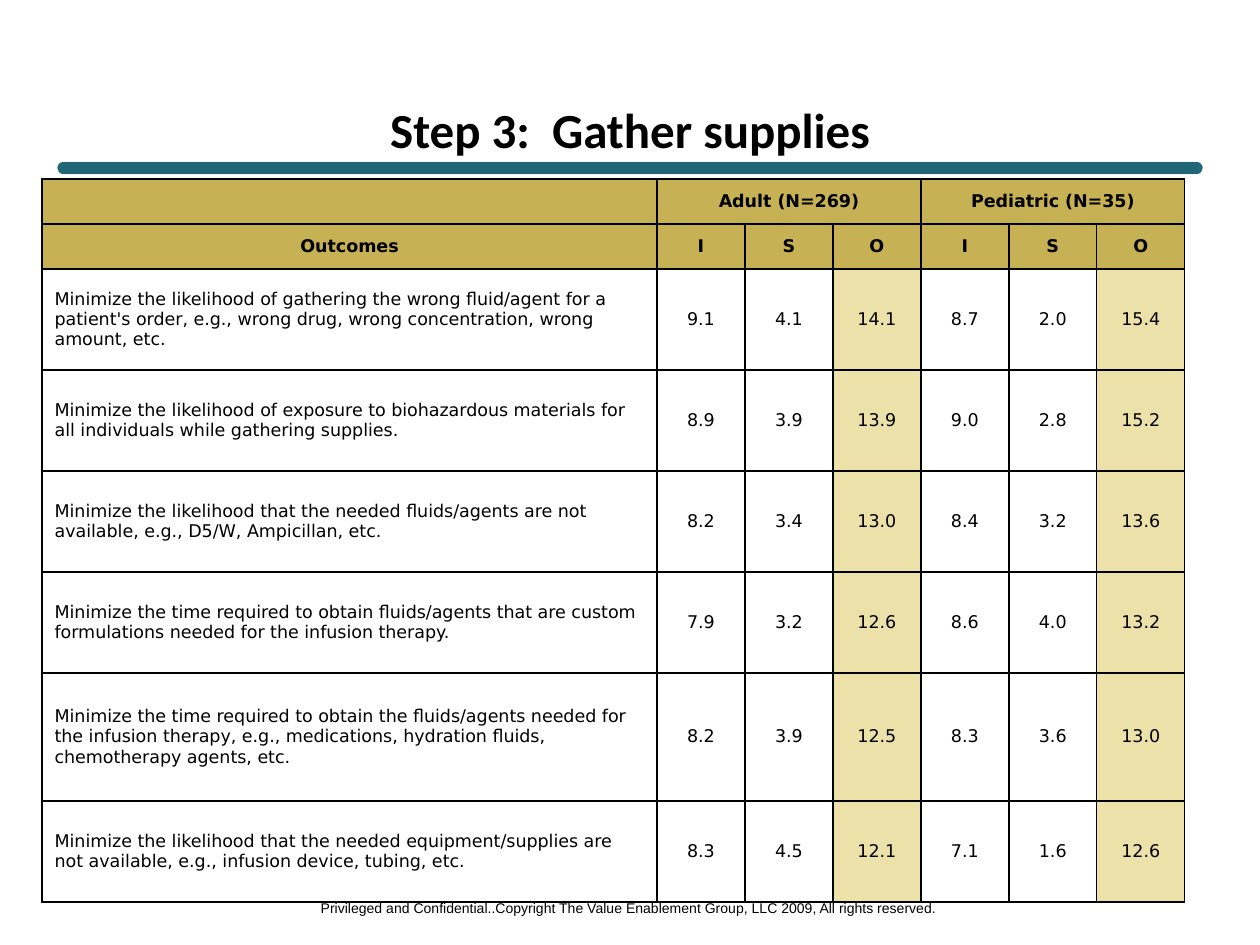
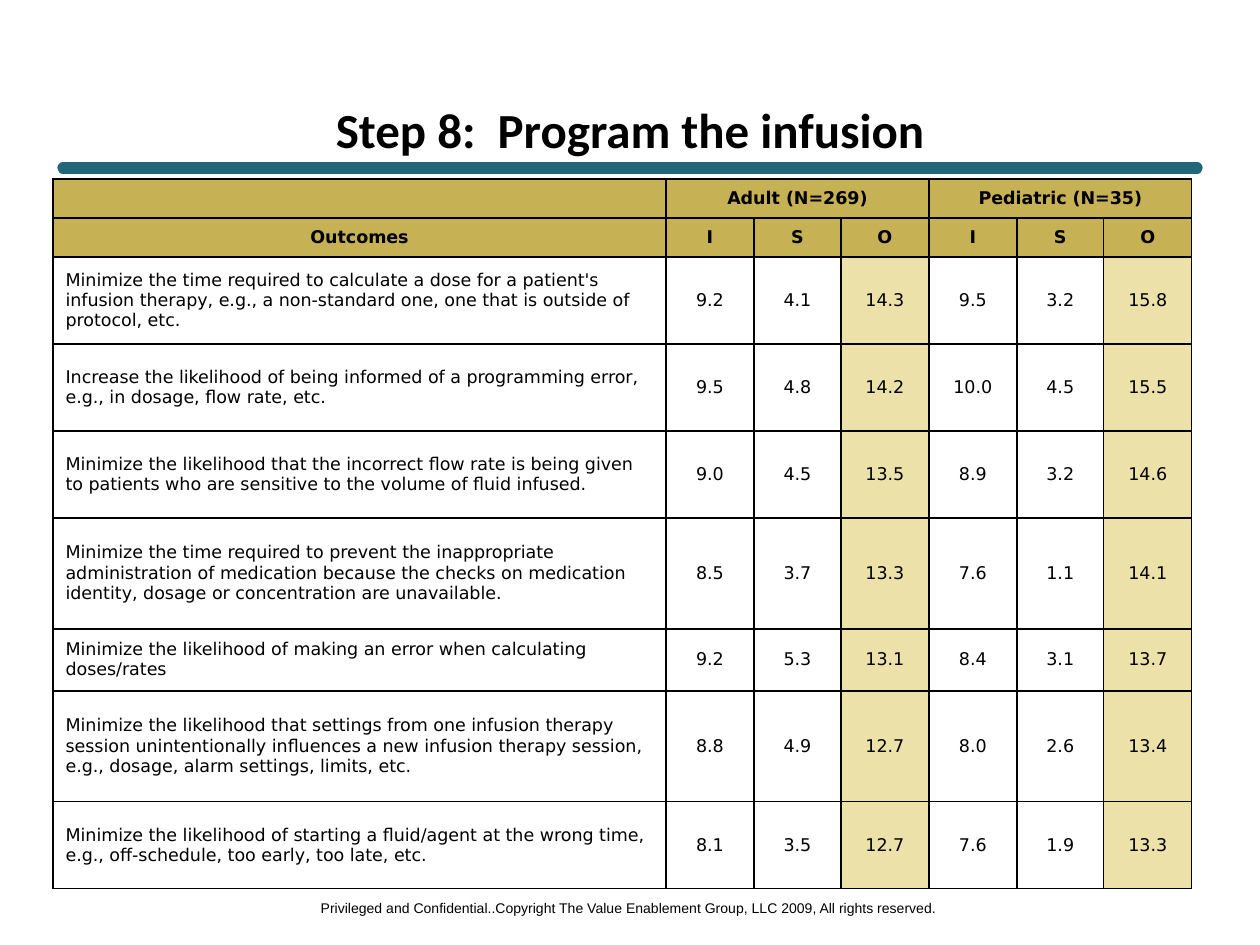
from lxml import etree
from pptx import Presentation, util as u
from pptx.dml.color import RGBColor
from pptx.enum import shapes, text
from pptx.oxml import ns

PX = 914400 / 126
COLORS = {"black": "000000", "white": "FFFFFF", "teal": "216778",
          "gold": "C6B154", "sand": "ECE2A9"}
FOOTER = ("Privileged and Confidential..Copyright The Value Enablement Group, "
          "LLC 2009, All rights reserved.")
GROUPS = ["Adult (N=269)", "Pediatric (N=35)"]
SCORES = ["I", "S", "O"]
TABLE_TOP = 179

SUPPLIES = [
    ("Minimize the likelihood of gathering the wrong fluid/agent for a patient's order, "
     "e.g., wrong drug, wrong concentration, wrong amount, etc.",
     "9.1 4.1 14.1 8.7 2.0 15.4"),
    ("Minimize the likelihood of exposure to biohazardous materials for all individuals "
     "while gathering supplies.",
     "8.9 3.9 13.9 9.0 2.8 15.2"),
    ("Minimize the likelihood that the needed fluids/agents are not available, "
     "e.g., D5/W, Ampicillan, etc.",
     "8.2 3.4 13.0 8.4 3.2 13.6"),
    ("Minimize the time required to obtain fluids/agents that are custom formulations "
     "needed for the infusion therapy.",
     "7.9 3.2 12.6 8.6 4.0 13.2"),
    ("Minimize the time required to obtain the fluids/agents needed for the infusion "
     "therapy, e.g., medications, hydration fluids, chemotherapy agents, etc.",
     "8.2 3.9 12.5 8.3 3.6 13.0"),
    ("Minimize the likelihood that the needed equipment/supplies are not available, "
     "e.g., infusion device, tubing, etc.",
     "8.3 4.5 12.1 7.1 1.6 12.6"),
]
PROGRAMMING = [
    ("Minimize the time required to calculate a dose for a patient's infusion therapy, "
     "e.g., a non-standard one, one that is outside of protocol, etc.",
     "9.2 4.1 14.3 9.5 3.2 15.8"),
    ("Increase the likelihood of being informed of a programming error, "
     "e.g., in dosage, flow rate, etc.",
     "9.5 4.8 14.2 10.0 4.5 15.5"),
    ("Minimize the likelihood that the incorrect flow rate is being given to patients "
     "who are sensitive to the volume of fluid infused.",
     "9.0 4.5 13.5 8.9 3.2 14.6"),
    ("Minimize the time required to prevent the inappropriate administration of "
     "medication because the checks on medication identity, dosage or concentration "
     "are unavailable.",
     "8.5 3.7 13.3 7.6 1.1 14.1"),
    ("Minimize the likelihood of making an error when calculating doses/rates",
     "9.2 5.3 13.1 8.4 3.1 13.7"),
    ("Minimize the likelihood that settings from one infusion therapy session "
     "unintentionally influences a new infusion therapy session, e.g., dosage, "
     "alarm settings, limits, etc.",
     "8.8 4.9 12.7 8.0 2.6 13.4"),
    ("Minimize the likelihood of starting a fluid/agent at the wrong time, "
     "e.g., off-schedule, too early, too late, etc.",
     "8.1 3.5 12.7 7.6 1.9 13.3"),
]


def px(n):
    return u.Emu(round(n * PX))


def rgb(name):
    return RGBColor.from_string(COLORS[name])


def add_run(p, words, font, size, bold=False):
    r = p.add_run()
    r.text = words
    r.font.name, r.font.size, r.font.bold = font, u.Pt(size), bold
    r.font.color.rgb = rgb("black")


def set_title(s, words):
    sp = s.shapes.title
    sp.left, sp.top, sp.width, sp.height = px(63), px(105), px(1134), px(48)
    tf = sp.text_frame
    tf.auto_size = text.MSO_AUTO_SIZE.NONE
    tf.vertical_anchor = text.MSO_ANCHOR.MIDDLE
    p = tf.paragraphs[0]
    p.alignment = text.PP_ALIGN.CENTER
    add_run(p, words, "Calibri", 28, bold=True)


def add_title_rule(s):
    line = s.shapes.add_connector(shapes.MSO_CONNECTOR.STRAIGHT,
                                  px(63), px(168), px(1197), px(168))
    line.line.color.rgb = rgb("teal")
    line.line.width = u.Pt(6.5)
    line.line._get_or_add_ln().set("cap", "rnd")
    etree.SubElement(line._element.spPr, ns.qn("a:effectLst"))


def add_footer(s):
    tf = s.shapes.add_textbox(px(304), px(893), px(650), px(30)).text_frame
    tf.word_wrap = False
    tf.auto_size = text.MSO_AUTO_SIZE.SHAPE_TO_FIT_TEXT
    p = tf.paragraphs[0]
    p.alignment = text.PP_ALIGN.CENTER
    add_run(p, FOOTER, "Arial", 8)


def set_borders(cell):
    tcPr = cell._tc.get_or_add_tcPr()
    for side in ("lnL", "lnR", "lnT", "lnB"):
        ln = etree.SubElement(tcPr, ns.qn(f"a:{side}"), w=str(u.Pt(1)))
        fill = etree.SubElement(ln, ns.qn("a:solidFill"))
        etree.SubElement(fill, ns.qn("a:srgbClr"), val=COLORS["black"])


def fill_cell(cell, words, color, bold, centered):
    set_borders(cell)
    cell.fill.solid()
    cell.fill.fore_color.rgb = rgb(color)
    cell.vertical_anchor = text.MSO_ANCHOR.MIDDLE
    p = cell.text_frame.paragraphs[0]
    p.alignment = text.PP_ALIGN.CENTER if centered else text.PP_ALIGN.LEFT
    if words:
        add_run(p, words, "DejaVu Sans", 10, bold)
    else:  # keeps an empty cell from stretching its row
        etree.SubElement(p._p, ns.qn("a:endParaRPr"), sz="1000")


def add_outcome_table(s, left, col_widths, row_heights, outcomes):
    """Two header rows, then one row of scores per outcome."""
    group_row = [""]
    for group in GROUPS:
        group_row += [group, "", ""]
    rows = [group_row, ["Outcomes"] + SCORES * len(GROUPS)]
    rows += [[outcome] + scores.split() for outcome, scores in outcomes]

    frame = s.shapes.add_table(len(rows), len(col_widths), px(left), px(TABLE_TOP),
                               px(sum(col_widths)), px(sum(row_heights)))
    table = frame.table
    table.first_row = table.horz_banding = False
    for col, width in zip(table.columns, col_widths):
        col.width = px(width)
    for row, height in zip(table.rows, row_heights):
        row.height = px(height)

    for i, row in enumerate(rows):
        header = i < 2
        for j, words in enumerate(row):
            opportunity = j > 0 and j % len(SCORES) == 0
            color = "gold" if header else "sand" if opportunity else "white"
            fill_cell(table.cell(i, j), words, color, header, header or j > 0)
    for first in (1, 4):
        table.cell(0, first).merge(table.cell(0, first + 2))


def add_step(prs, title, left, col_widths, row_heights, outcomes):
    s = prs.slides.add_slide(prs.slide_layouts[5])
    add_title_rule(s)
    add_footer(s)
    set_title(s, title)
    add_outcome_table(s, left, col_widths, row_heights, outcomes)


def main():
    prs = Presentation()
    prs.slide_width, prs.slide_height = px(1260), px(945)
    add_step(prs, "Step 3:  Gather supplies", 42, [615] + [88] * 6,
             [45] * 2 + [101] * 4 + [128, 101], SUPPLIES)
    add_step(prs, "Step 8:  Program the infusion", 53, [613] + [88, 87, 88] * 2,
             [39] * 2 + [87] * 3 + [111, 62, 111, 87], PROGRAMMING)
    prs.save("out.pptx")


if __name__ == "__main__":
    main()
